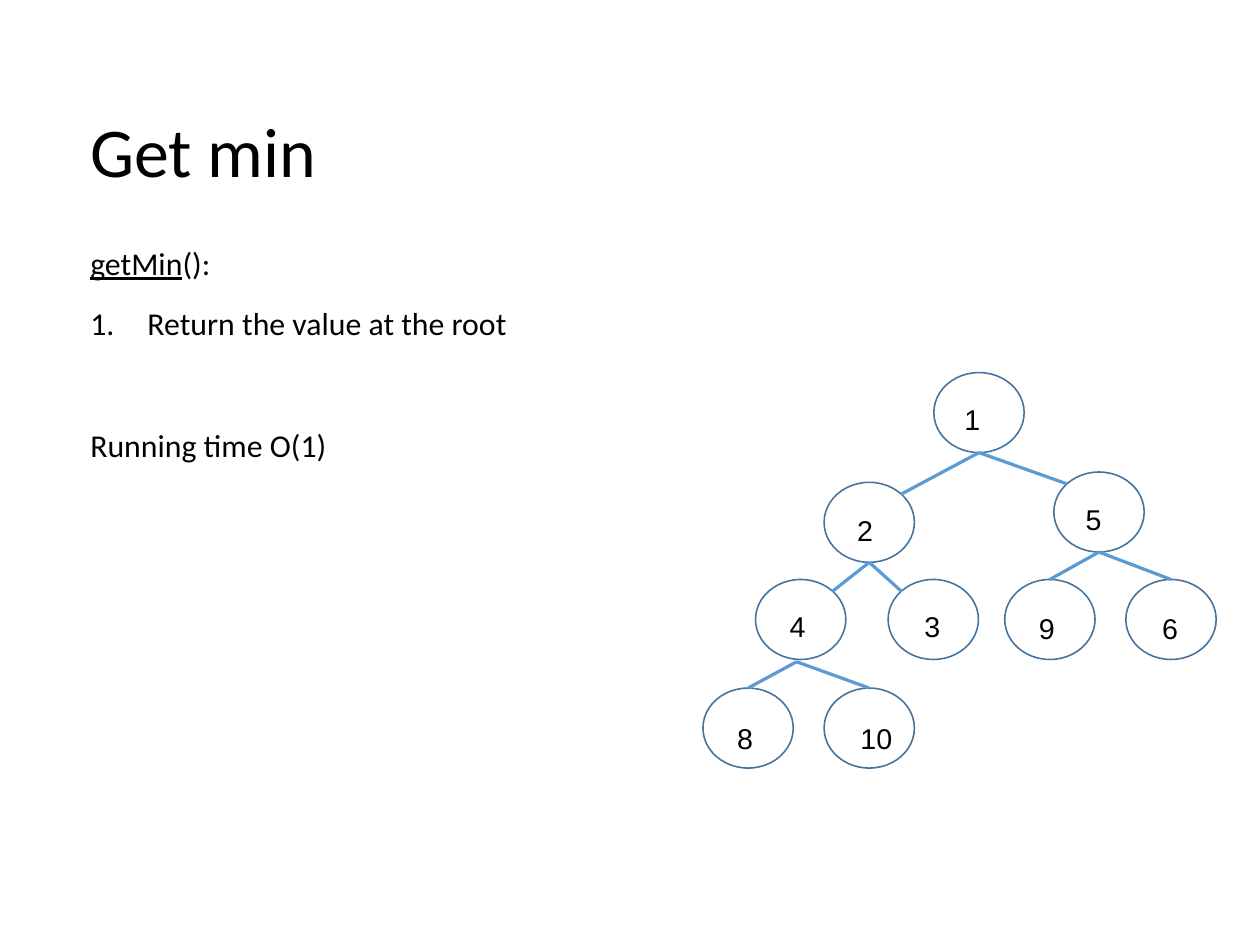
from pptx import Presentation
from pptx.dml.color import RGBColor
from pptx.enum.shapes import MSO_CONNECTOR as LINE, MSO_SHAPE as SHAPE
from pptx.enum.text import MSO_ANCHOR as ANCHOR, MSO_AUTO_SIZE as FIT, PP_ALIGN as ALIGN
from pptx.oxml.ns import qn
from pptx.util import Inches, Pt
from lxml.etree import SubElement


def color(code):
    return RGBColor.from_string(code)


def write(par, text, size=20, font="Calibri", ink="000000", under=False):
    run = par.add_run()
    run.text = text
    run.font.size = Pt(size)
    run.font.name = font
    run.font.underline = under
    run.font.color.rgb = color(ink)


class Deck:
    WIDE, HIGH = 0.79, 0.7
    RING, EDGE = "43739E", "5B9BD5"

    def __init__(self, wide, high):
        self.show = Presentation()
        self.show.slide_width = Inches(wide)
        self.show.slide_height = Inches(high)
        self.slide = self.show.slides.add_slide(self.show.slide_layouts[1])

    def place(self, holder, box, anchor):
        holder.left, holder.top, holder.width, holder.height = map(Inches, box)
        frame = holder.text_frame
        frame.word_wrap = True
        frame.auto_size = FIT.NONE
        frame.vertical_anchor = anchor
        frame.margin_left = frame.margin_right = 0
        frame.margin_top = frame.margin_bottom = 0
        return frame

    def title(self, text, box):
        par = self.place(self.slide.shapes.title, box, ANCHOR.MIDDLE).paragraphs[0]
        par.alignment = ALIGN.LEFT
        write(par, text, size=44)

    def body(self, items, box):
        frame = self.place(self.slide.placeholders[1], box, ANCHOR.TOP)
        for i, (runs, step, before) in enumerate(items):
            par = frame.add_paragraph() if i else frame.paragraphs[0]
            par.space_before, par.space_after = Pt(before), Pt(14.2)
            props = par._p.get_or_add_pPr()
            indent = Inches(0.5) if step else 0
            props.set("marL", str(indent))
            props.set("indent", str(-indent))
            if step:
                SubElement(props, qn("a:buAutoNum"), type="arabicPeriod")
            else:
                SubElement(props, qn("a:buNone"))
            for text, under in runs:
                write(par, text, under=under)

    def group(self):
        self.shapes = self.slide.shapes.add_group_shape().shapes

    def node(self, x, y):
        ring = self.shapes.add_shape(SHAPE.OVAL, Inches(x), Inches(y),
                                     Inches(self.WIDE), Inches(self.HIGH))
        ring.shadow.inherit = False
        ring.fill.background()
        ring.line.color.rgb = color(self.RING)
        ring.line.width = Pt(1)

    def edge(self, start, end):
        line = self.shapes.add_connector(LINE.STRAIGHT, *map(Inches, start + end))
        line.line.color.rgb = color(self.EDGE)
        line.line.width = Pt(2)
        SubElement(line._element.spPr, qn("a:effectLst"))

    def label(self, text, x, y):
        wide = 0.4 if len(text) == 1 else 0.57
        box = self.shapes.add_textbox(Inches(x), Inches(y), Inches(wide), Inches(0.4))
        box.text_frame.word_wrap = True
        write(box.text_frame.paragraphs[0], text, size=18, font="Arial")


# A page of 28 by 21 cm
deck = Deck(28 / 2.54, 21 / 2.54)

# Title and steps: runs, numbered or not, space before
deck.title("Get min", (0.79, 0.75, 9.25, 1.12))
deck.body([
    ([("getMin", True), ("():", False)], False, 0),
    ([("Return the value at the root", False)], True, 0),
    ([("Running time O(1)", False)], False, 38.6),
], (0.79, 2.13, 9.68, 5.21))

# Heap nodes: left and top of the ring, then of the value
nodes = {
    "1": (8.17, 3.26, 8.34, 3.47),
    "2": (7.21, 4.22, 7.4, 4.44),
    "5": (9.22, 4.13, 9.4, 4.34),
    "4": (6.61, 5.07, 6.81, 5.28),
    "3": (7.77, 5.07, 7.99, 5.28),
    "9": (8.79, 5.07, 8.99, 5.3),
    "6": (9.85, 5.07, 10.07, 5.3),
    "8": (6.15, 6.02, 6.35, 6.26),
    "10": (7.21, 6.02, 7.43, 6.26),
}
deck.group()
for name, (x, y, left, top) in nodes.items():
    deck.node(x, y)
    deck.label(name, left, top)

# Edges: parent's bottom to the child's upper corner or its top
# Corners lie at 45 degrees, 0.15 and 0.85 of the ring's width
kids = [("1", "2", 0.85, 0.15), ("1", "5", 0.15, 0.15),
        ("2", "4", 0.85, 0.15), ("2", "3", 0.15, 0.15),
        ("5", "9", 0.5, 0), ("5", "6", 0.5, 0),
        ("4", "8", 0.5, 0), ("4", "10", 0.5, 0)]
forks = {"4": (6.97, 5.79)}
for top, low, across, down in kids:
    (px, py), (cx, cy) = nodes[top][:2], nodes[low][:2]
    fork = forks.get(top, (px + deck.WIDE / 2, py + deck.HIGH))
    deck.edge(fork, (cx + deck.WIDE * across, cy + deck.HIGH * down))

deck.show.save("out.pptx")
